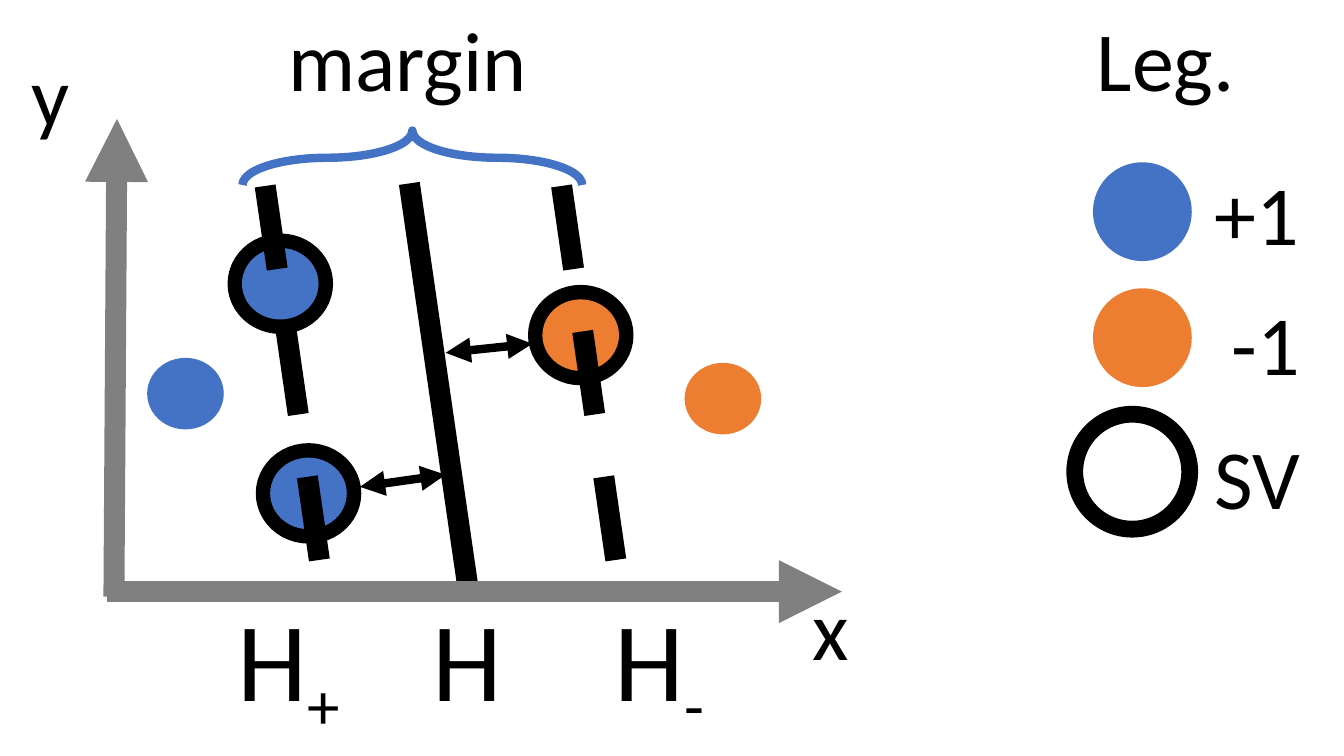
from dataclasses import dataclass

from lxml import etree
from pptx import Presentation
from pptx.dml.color import RGBColor
from pptx.enum import dml, shapes, text
from pptx.oxml import ns
from pptx.util import Inches, Pt

# The slide is a grid of square cells; all lengths below count cells.
COLS, ROWS = 133.3, 75
CELL = Inches(0.1)


@dataclass(frozen=True)
class Theme:
    font: str = "Calibri"
    ink: str = "000000"
    paper: str = "FFFFFF"
    axis: str = "808080"
    plus: str = "4472C4"
    minus: str = "ED7D31"
    label: int = 60
    plane: int = 80
    thick: int = 15
    ring: int = 12
    thin: int = 6


THEME = Theme()
BOX_HIGH = {THEME.label: 11.1, THEME.plane: 14.5}
DOT = (7.6, 7.1)
INSET = 0.6
LEAN = (5.9, 40.7)


def cells(*counts):
    return [round(n * CELL) for n in counts]


def rgb(code):
    return RGBColor.from_string(code)


def stroke(line, color, width):
    line.color.rgb = rgb(color)
    line.width = Pt(width)


def add_line(slide, start, end, color, width, dash=False, ends=()):
    """Straight line; ends may name headEnd (start) and tailEnd (end)."""
    link = slide.shapes.add_connector(
        shapes.MSO_CONNECTOR.STRAIGHT, *cells(*start, *end))
    stroke(link.line, color, width)
    if dash:
        link.line.dash_style = dml.MSO_LINE.DASH
    props = link.element.spPr
    for name in ends:
        tip = etree.SubElement(props.find(ns.qn("a:ln")), ns.qn("a:" + name))
        tip.set("type", "triangle")
    etree.SubElement(props, ns.qn("a:effectLst"))


def add_oval(slide, left, top, wide, high, fill, edge=None):
    oval = slide.shapes.add_shape(
        shapes.MSO_SHAPE.OVAL, *cells(left, top, wide, high))
    oval.shadow.inherit = False
    oval.fill.solid()
    oval.fill.fore_color.rgb = rgb(fill)
    if edge:
        stroke(oval.line, edge, THEME.ring)
    else:
        oval.line.fill.background()


def add_support(slide, left, top, color):
    """Data point with the ring of a support vector."""
    wide, high = DOT
    add_oval(slide, left - INSET, top - INSET, wide + 2 * INSET,
             high + 2 * INSET, THEME.paper, THEME.ink)
    add_oval(slide, left, top, wide, high, color)


def add_plane(slide, left, top, dash):
    add_line(slide, (left, top), (left + LEAN[0], top + LEAN[1]),
             THEME.ink, THEME.thick, dash)


def add_brace(slide, left, top, wide, high):
    brace = slide.shapes.add_shape(
        shapes.MSO_SHAPE.RIGHT_BRACE, *cells(left, top, wide, high))
    brace.rotation = 270
    brace.adjustments[0] = 1.75
    brace.adjustments[1] = 0.5
    brace.shadow.inherit = False
    brace.fill.background()
    stroke(brace.line, THEME.plus, THEME.thin)


def add_label(slide, left, top, wide, words, size=THEME.label, sub=""):
    box = slide.shapes.add_textbox(*cells(left, top, wide, BOX_HIGH[size]))
    frame = box.text_frame
    frame.word_wrap = False
    frame.auto_size = text.MSO_AUTO_SIZE.SHAPE_TO_FIT_TEXT
    para = frame.paragraphs[0]
    for part, base in ((words, None), (sub, "-25000")):
        if not part:
            continue
        run = para.add_run()
        run.text = part
        run.font.name = THEME.font
        run.font.size = Pt(size)
        run.font.color.rgb = rgb(THEME.ink)
        if base:
            run.font._element.set("baseline", base)


def draw_plot(slide):
    both = ("headEnd", "tailEnd")
    add_plane(slide, 40.6, 18.2, False)
    for left, top, color in ((24, 24.6, THEME.plus), (26.8, 45.4, THEME.plus),
                             (53.8, 29.7, THEME.minus)):
        add_support(slide, left, top, color)
    for left, top, color in ((14.6, 35.5, THEME.plus),
                             (67.9, 36, THEME.minus)):
        add_oval(slide, left, top, *DOT, color)
    for left in (26.3, 55.7):
        add_plane(slide, left, 18.45, True)
    for start, end in (((35.7, 48.3), (44.2, 47.1)),
                       ((44.2, 35), (52.8, 34.1))):
        add_line(slide, start, end, THEME.ink, THEME.thin, ends=both)
    for start, end in (((11.3, 59.2), (11.6, 11.8)),
                       ((10.6, 58.7), (83.5, 58.7))):
        add_line(slide, start, end, THEME.axis, THEME.thick, ends=both[1:])
    add_brace(slide, 38.2, -1.2, 5.4, 33.7)
    add_label(slide, 27.6, 0.3, 25.9, "margin")
    add_label(slide, 79.6, 56.7, 5.7, "x")
    add_label(slide, 2.1, 3.7, 5.8, "y")
    for left, wide, sub in ((22.6, 12.7, "+"), (41.9, 9, ""),
                            (60, 11.3, "-")):
        add_label(slide, left, 58, wide, "H", THEME.plane, sub)


def draw_legend(slide):
    add_label(slide, 107.8, 0.3, 15.8, "Leg.")
    for left, top, size, fill, edge in (
            (108.4, 16.1, 9.8, THEME.plus, None),
            (108.4, 28.6, 9.8, THEME.minus, None),
            (106.6, 41.1, 11.4, THEME.paper, THEME.ink)):
        add_oval(slide, left, top, size, size, fill, edge)
    for left, top, wide, words in ((119.5, 15.5, 10.5, "+1"),
                                   (121.2, 28.4, 8.9, "-1"),
                                   (119.5, 41.7, 10.6, "SV")):
        add_label(slide, left, top, wide, words)


def main():
    deck = Presentation()
    deck.slide_width, deck.slide_height = cells(COLS, ROWS)
    slide = deck.slides.add_slide(deck.slide_layouts.get_by_name("Blank"))
    draw_plot(slide)
    draw_legend(slide)
    deck.save("out.pptx")


if __name__ == "__main__":
    main()
